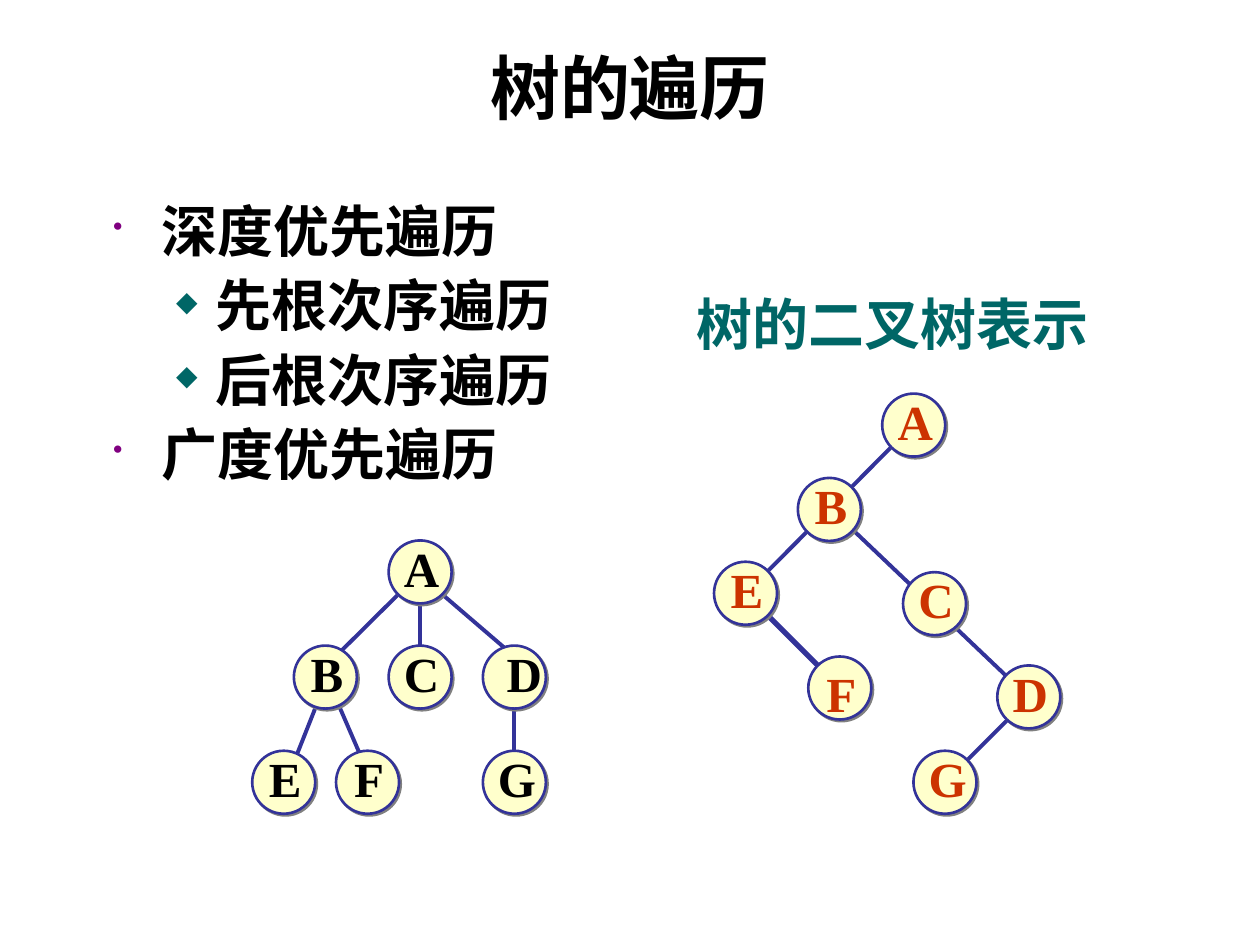
import pptx
import pptx.dml.color
import pptx.enum.shapes
import pptx.enum.text
import pptx.oxml
import pptx.oxml.ns
import pptx.util
from pptx.util import Cm

BLACK = pptx.dml.color.RGBColor(0x00, 0x00, 0x00)
TEAL = pptx.dml.color.RGBColor(0x00, 0x66, 0x66)
PURPLE = pptx.dml.color.RGBColor(0x80, 0x00, 0x80)
RED = pptx.dml.color.RGBColor(0xCC, 0x33, 0x00)
NAVY = pptx.dml.color.RGBColor(0x33, 0x33, 0x99)
CREAM = pptx.dml.color.RGBColor(0xFF, 0xFF, 0xCC)
GRAY = pptx.dml.color.RGBColor(0x80, 0x80, 0x80)

ALIGN = pptx.enum.text.PP_ALIGN
ANCHOR = pptx.enum.text.MSO_ANCHOR
NODE_SIZE = 1.27
LABEL_WIDTH, LABEL_HEIGHT = 1.22, 1.45
LABEL_SHIFT = (0.03, -0.09)

OUTLINE = [("深度优先遍历", 0), ("先根次序遍历", 1), ("后根次序遍历", 1), ("广度优先遍历", 0)]
BULLETS = [("•", PURPLE, 0.97, -0.97), ("◆", TEAL, 2.06, -0.79)]

ROW_1, ROW_2, ROW_3 = (11.53 + 2.12 * row for row in range(3))
TREE_NODES = {
    "A": (8.47, ROW_1), "B": (6.56, ROW_2), "C": (8.47, ROW_2), "D": (10.37, ROW_2),
    "E": (5.72, ROW_3), "F": (7.41, ROW_3), "G": (10.37, ROW_3),
}
TREE_EDGES = [
    (8.05, 11.96, 6.77, 13.23), (8.47, 12.17, 8.47, 13.23), (8.89, 11.96, 10.37, 13.23),
    (6.35, 14.29, 5.93, 15.35), (6.77, 14.08, 7.41, 15.56), (10.37, 14.08, 10.37, 15.35),
]
BINARY_NODES = {
    "A": (18.42, 8.57), "B": (16.72, 10.27), "C": (18.84, 12.17), "D": (20.74, 14.05),
    "E": (15.03, 11.96), "F": (16.93, 13.87), "G": (19.05, ROW_3),
}
BINARY_EDGES = [
    (18.2, 8.78, 15.24, 11.75), (17.15, 10.64, 20.53, 13.86),
    (20.53, 14.29, 19.26, 15.56), (15.24, 12.17, 16.51, 13.44, 3),
]


def append_xml(parent, xml):
    """Append one DrawingML element, written without its namespace declaration."""
    declaration = " " + pptx.oxml.ns.nsdecls("a")
    tag_end = min(xml.index(mark) for mark in " />" if mark in xml)
    parent.append(pptx.oxml.parse_xml(xml[:tag_end] + declaration + xml[tag_end:]))


def add_text(slide, text, left, top, width, height, size=28, color=BLACK,
             font="Times New Roman", align=ALIGN.LEFT, anchor=ANCHOR.TOP,
             wrap=True, space_before=0):
    """Add a text box with one bold paragraph for each line of the text."""
    shape = slide.shapes.add_textbox(Cm(left), Cm(top), Cm(width), Cm(height))
    frame = shape.text_frame
    frame.word_wrap = wrap
    frame.vertical_anchor = anchor
    frame.text = text
    for paragraph in frame.paragraphs:
        paragraph.alignment = align
        paragraph.space_before = pptx.util.Pt(space_before)
        run_font = paragraph.runs[0].font
        run_font.name = font
        run_font.size = pptx.util.Pt(size)
        run_font.bold = True
        run_font.color.rgb = color
    return shape


def set_bullet(paragraph, level):
    """Give a paragraph the indent and bullet of its outline level."""
    character, color, margin, indent = BULLETS[level]
    paragraph.level = level
    properties = paragraph._p.get_or_add_pPr()
    properties.set("marL", str(Cm(margin)))
    properties.set("indent", str(Cm(indent)))
    append_xml(properties, f'<a:buClr><a:srgbClr val="{color}"/></a:buClr>')
    append_xml(properties, '<a:buSzPct val="50000"/>')
    append_xml(properties, f'<a:buChar char="{character}"/>')


def add_outline(slide):
    """Add the bulleted list of traversal orders."""
    text = "\n".join(line for line, level in OUTLINE)
    shape = add_text(slide, text, 2.03, 3.84, 22.86, 6.6, size=32,
                     font="Arial", space_before=4)
    for paragraph, (line, level) in zip(shape.text_frame.paragraphs, OUTLINE):
        set_bullet(paragraph, level)


def add_edge(slide, start_x, start_y, end_x, end_y, width=2.25):
    """Add a straight edge between two tree nodes."""
    connector = slide.shapes.add_connector(
        pptx.enum.shapes.MSO_CONNECTOR.STRAIGHT,
        Cm(start_x), Cm(start_y), Cm(end_x), Cm(end_y))
    connector.line.color.rgb = NAVY
    connector.line.width = pptx.util.Pt(width)
    append_xml(connector._element.spPr, "<a:effectLst/>")


def add_node(slide, label, center_x, center_y, color, shift):
    """Add a shadowed circle around a centre, with its letter above it."""
    shape = slide.shapes.add_shape(
        pptx.enum.shapes.MSO_SHAPE.OVAL,
        Cm(center_x - NODE_SIZE / 2), Cm(center_y - NODE_SIZE / 2),
        Cm(NODE_SIZE), Cm(NODE_SIZE))
    shape.fill.solid()
    shape.fill.fore_color.rgb = CREAM
    shape.line.color.rgb = NAVY
    shape.line.width = pptx.util.Pt(1.5)
    append_xml(shape._element.spPr,
               '<a:effectLst><a:outerShdw dist="17780" dir="2700000" algn="ctr" '
               f'rotWithShape="0"><a:srgbClr val="{GRAY}"/></a:outerShdw></a:effectLst>')
    add_text(slide, label, center_x + shift[0] - LABEL_WIDTH / 2,
             center_y + shift[1] - LABEL_HEIGHT / 2, LABEL_WIDTH, LABEL_HEIGHT,
             color=color, align=ALIGN.CENTER, anchor=ANCHOR.MIDDLE, wrap=False)


def add_tree(slide, nodes, edges, color, shifts):
    """Add the edges of a tree and then its nodes on top."""
    for edge in edges:
        add_edge(slide, *edge)
    for label, (center_x, center_y) in nodes.items():
        add_node(slide, label, center_x, center_y, color, shifts.get(label, LABEL_SHIFT))


def main():
    """Build the tree traversal slide and save it."""
    presentation = pptx.Presentation()
    presentation.slide_width = Cm(25.4)
    presentation.slide_height = Cm(19.05)
    slide = presentation.slides.add_slide(presentation.slide_layouts[6])
    add_text(slide, "树的二叉树表示", 13.79, 5.72, 8.69, 1.63, size=32,
             color=TEAL, space_before=20)
    add_text(slide, "树的遍历", 1.27, 0.76, 22.86, 1.96, size=40, font="Arial",
             align=ALIGN.CENTER, anchor=ANCHOR.MIDDLE)
    add_outline(slide)
    add_tree(slide, TREE_NODES, TREE_EDGES, BLACK, {"D": (0.2, -0.09)})
    add_tree(slide, BINARY_NODES, BINARY_EDGES, RED, {"F": (0.03, 0.09)})
    presentation.save("out.pptx")


if __name__ == "__main__":
    main()
